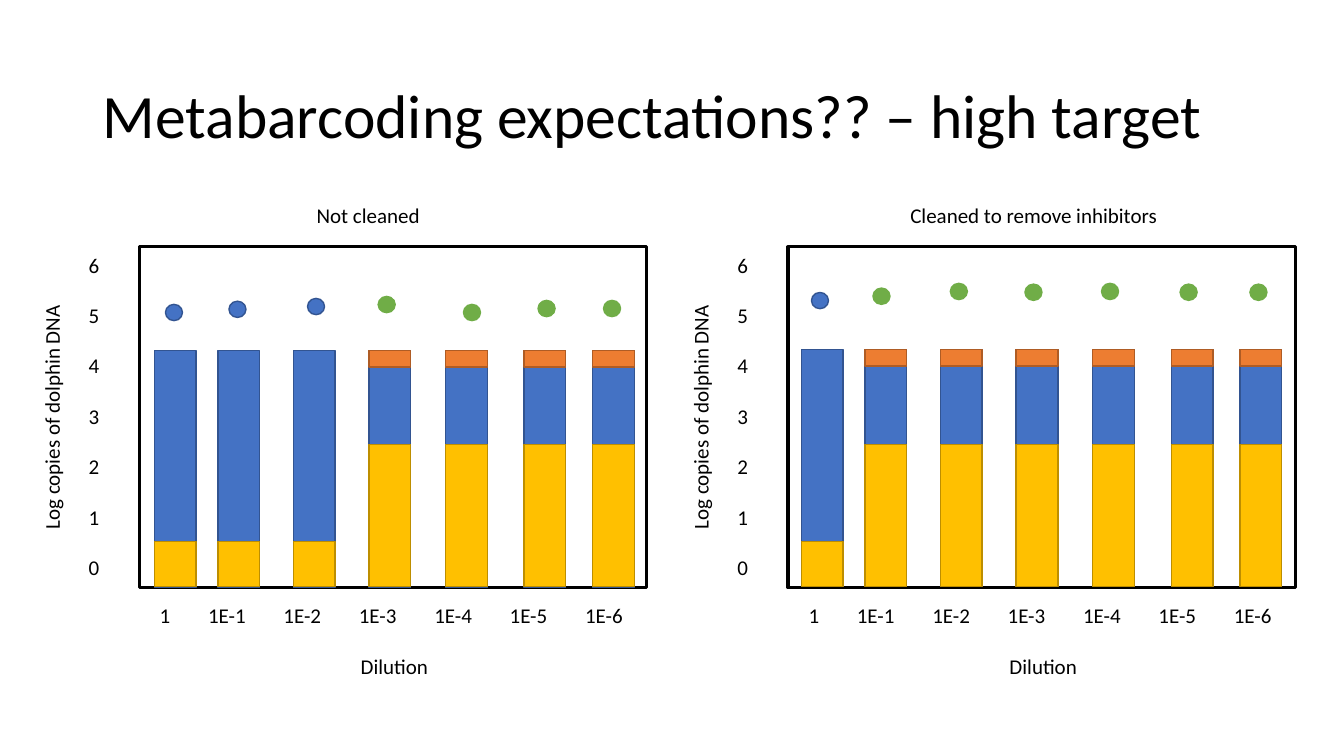
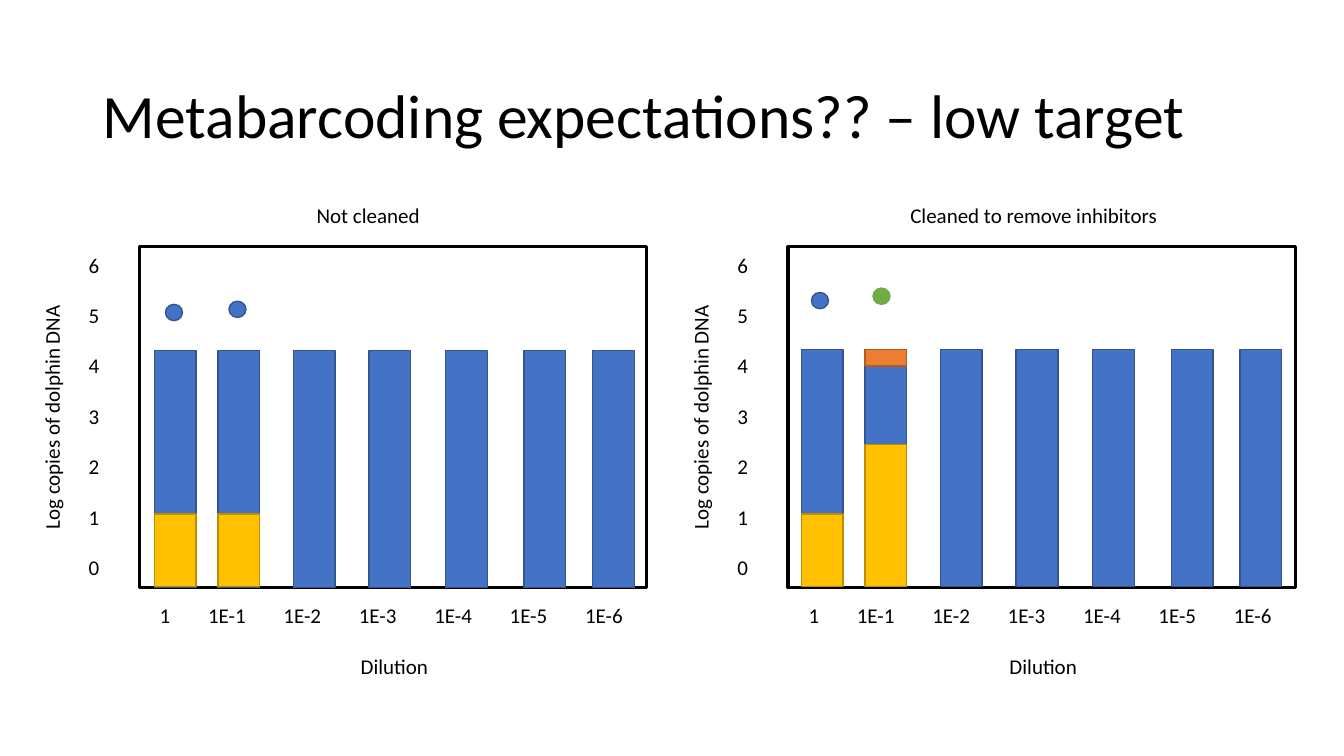
from pptx import Presentation
from pptx.dml.color import RGBColor
from pptx.enum.shapes import MSO_SHAPE as Shape
from pptx.enum.text import MSO_ANCHOR as Anchor, PP_ALIGN as Align
from pptx.util import Cm, Pt

COLOURS = {
    "black": "000000", "white": "FFFFFF",
    "blue": "4472C4", "blue edge": "325491",
    "gold": "FFC000", "gold edge": "BD8E00",
    "orange": "ED7D31", "orange edge": "AF5C24",
    "green": "70AD47", "green edge": "70AD47",
}
FONT = "Calibri"

DILUTIONS = ["1", "1E-1", "1E-2", "1E-3", "1E-4", "1E-5", "1E-6"]
BAR_OFFSETS = [0, 1.6, 3.5, 5.41, 7.34, 9.32, 11.05]
BAR_WIDTH, GOLD_BASE, CLEAN_GOLD, ORANGE_HEIGHT = 1.05, 14.78, 3.58, 0.41
FRAME_TOP, FRAME_WIDTH, FRAME_HEIGHT = 6.22, 12.78, 8.59
TICK_STEP_X, TICK_STEP_Y = 1.9, 1.27

PANELS = [
    {"heading": "Not cleaned", "heading_x": 9.28, "left": 3.51,
     "bar_left": 3.89, "bar_top": 8.84,
     "dots": [(4.17, 7.67), (5.77, 7.59), (7.75, 7.52), (9.53, 7.47),
              (11.68, 7.67), (13.56, 7.57), (15.21, 7.57)]},
    {"heading": "Cleaned to remove inhibitors", "heading_x": 26.05, "left": 19.86,
     "bar_left": 20.2, "bar_top": 8.81,
     "dots": [(20.45, 7.37), (22, 7.26), (23.95, 7.14), (25.83, 7.16),
              (27.76, 7.14), (29.74, 7.16), (31.5, 7.16)]},
]
# Per panel: number of inhibited dilutions, number of dilutions with target detected
SCENARIOS = [
    {"target": "high", "inhibited_gold": 1.14, "counts": [(3, 7), (1, 7)]},
    {"target": "low", "inhibited_gold": 1.83, "counts": [(2, 2), (1, 2)]},
]


def add_text(slide, text, x, y, width, height=0.9, size=15, align=Align.CENTER, rotation=0):
    """Add one line of text centred on the point x, y (in cm)."""
    box = slide.shapes.add_textbox(Cm(x - width / 2), Cm(y - height / 2), Cm(width), Cm(height))
    box.rotation = rotation
    frame = box.text_frame
    frame.word_wrap = True
    frame.vertical_anchor = Anchor.MIDDLE
    frame.margin_left = frame.margin_right = frame.margin_top = frame.margin_bottom = 0
    line = frame.paragraphs[0]
    line.text = text
    line.alignment = align
    line.font.name = FONT
    line.font.size = Pt(size)
    line.font.color.rgb = RGBColor.from_string(COLOURS["black"])


def add_mark(slide, kind, left, top, width, height, fill, edge=None, weight=1):
    mark = slide.shapes.add_shape(kind, Cm(left), Cm(top), Cm(width), Cm(height))
    mark.shadow.inherit = False
    mark.fill.solid()
    mark.fill.fore_color.rgb = RGBColor.from_string(COLOURS[fill])
    mark.line.color.rgb = RGBColor.from_string(COLOURS[edge or f"{fill} edge"])
    mark.line.width = Pt(weight)


deck = Presentation()
deck.slide_width, deck.slide_height = Cm(33.87), Cm(19.05)

for scenario in SCENARIOS:
    slide = deck.slides.add_slide(deck.slide_layouts[6])
    add_text(slide, f"Metabarcoding expectations?? – {scenario['target']} target",
             16.94, 2.86, 28.7, height=3.68, size=44, align=Align.LEFT)

    for panel, (inhibited, detected) in zip(PANELS, scenario["counts"]):
        left = panel["left"]
        add_text(slide, panel["heading"], panel["heading_x"], 5.43, 7.8)
        add_mark(slide, Shape.RECTANGLE, left, FRAME_TOP, FRAME_WIDTH, FRAME_HEIGHT,
                 "white", edge="black", weight=2.25)

        add_text(slide, "Log copies of dolphin DNA", left - 2.21, 10.52, 6.27, rotation=270)
        for step in range(7):
            add_text(slide, str(6 - step), left - 1.14, 6.67 + step * TICK_STEP_Y, 1)
        for step, dilution in enumerate(DILUTIONS):
            tick_x = left + 2.21 + (step - 1) * TICK_STEP_X if step else left + 0.65
            add_text(slide, dilution, tick_x, 15.49, 1.8)
        add_text(slide, "Dilution", left + 6.43, 16.78, 4)

        for step, offset in enumerate(BAR_OFFSETS):
            bar_left, bar_top = panel["bar_left"] + offset, panel["bar_top"]
            clean = step >= inhibited
            add_mark(slide, Shape.RECTANGLE, bar_left, bar_top, BAR_WIDTH, 5.97, "blue")
            if step >= detected:
                continue
            gold = CLEAN_GOLD if clean else scenario["inhibited_gold"]
            add_mark(slide, Shape.RECTANGLE, bar_left, GOLD_BASE - gold, BAR_WIDTH, gold, "gold")
            if clean:
                add_mark(slide, Shape.RECTANGLE, bar_left, bar_top, BAR_WIDTH,
                         ORANGE_HEIGHT, "orange")
            add_mark(slide, Shape.OVAL, *panel["dots"][step], 0.43, 0.41,
                     "green" if clean else "blue")

deck.save("out.pptx")
